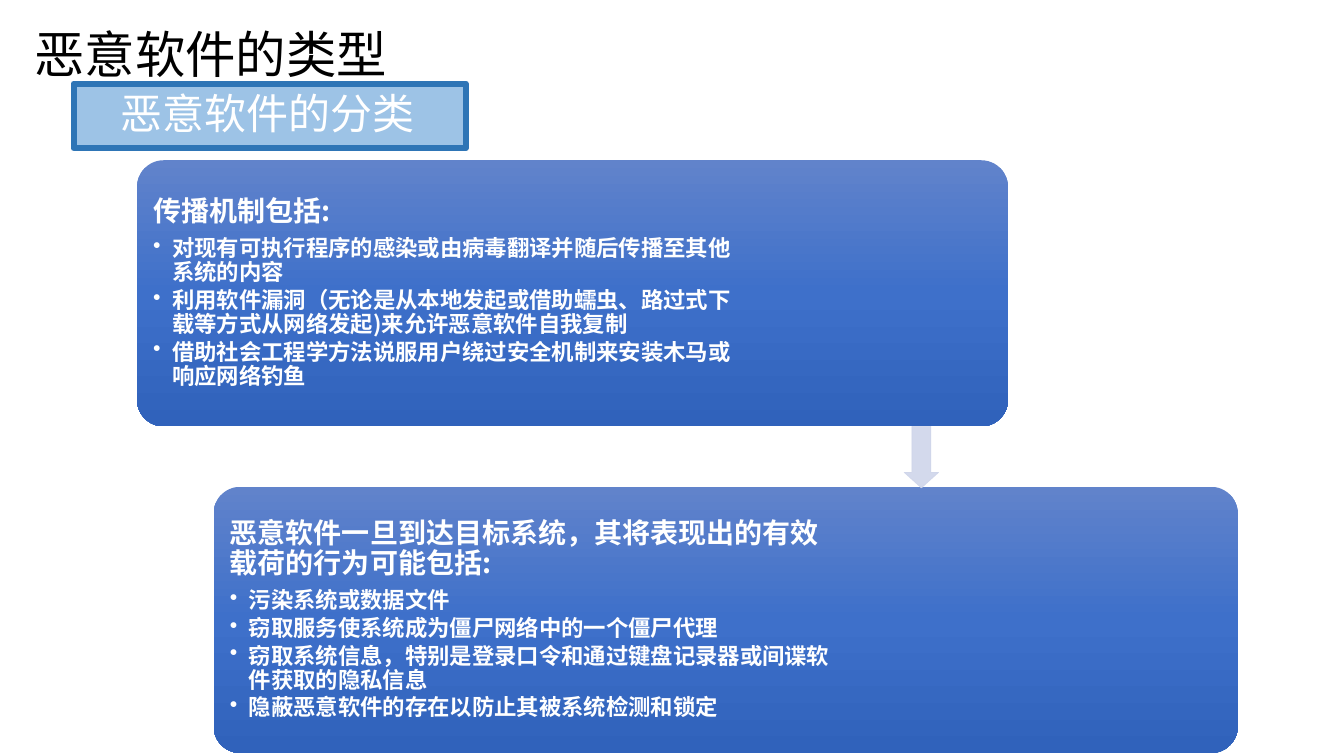
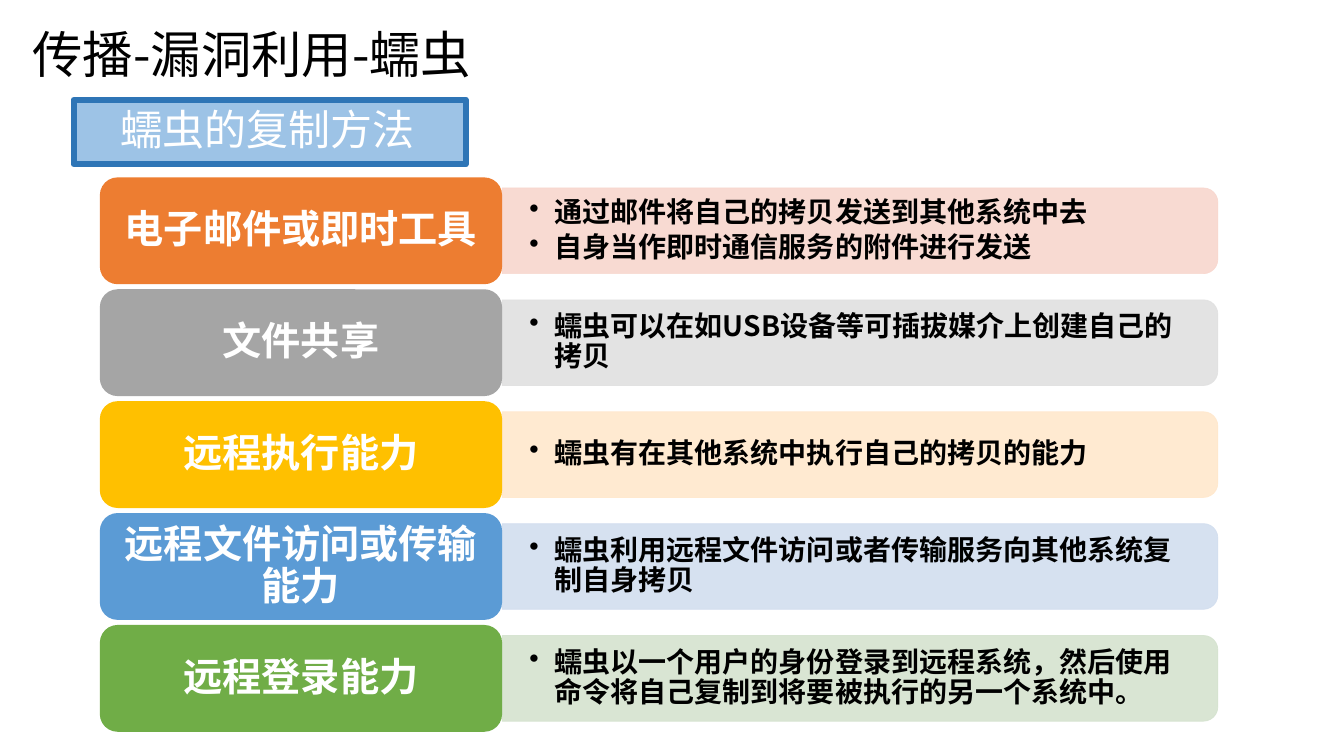
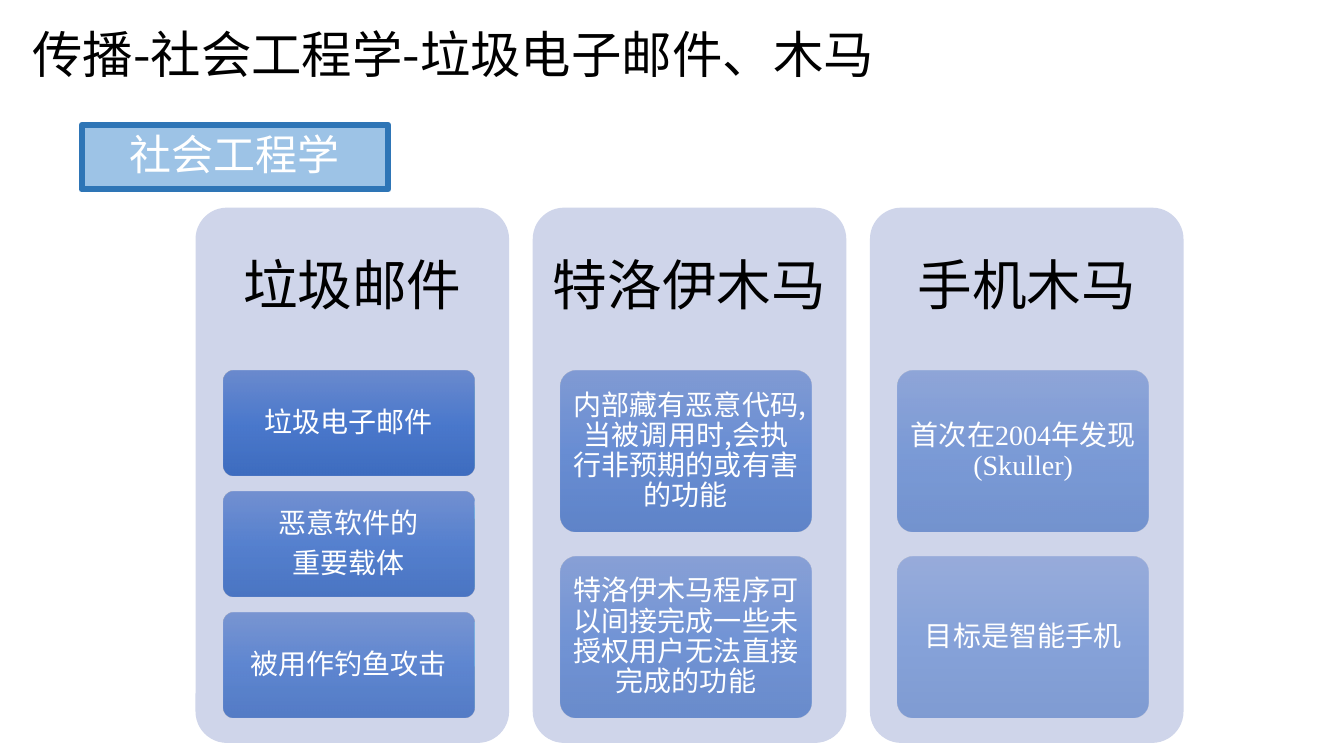
from dataclasses import dataclass

from lxml.etree import SubElement
from pptx import Presentation
from pptx.dml.color import RGBColor
from pptx.enum.shapes import MSO_SHAPE as Kind
from pptx.enum.text import MSO_ANCHOR as Anchor, PP_ALIGN as Align
from pptx.oxml.ns import qn
from pptx.util import Emu, Inches, Pt

WIDE, HIGH = Inches(13.33), Inches(7.5)
SANS, SERIF = "Noto Sans CJK SC", "Times New Roman"
WHITE, BLACK, PALE = "FFFFFF", "000000", "CFD5EA"
BLUES = ((0, "6183CB"), (50, "3E70CA"), (100, "3062BB"))


@dataclass
class Box:
    x: float
    y: float
    w: float
    h: float

    def place(self) -> tuple:
        return tuple(Emu(round(part * full / 100)) for part, full in
                     zip((self.x, self.y, self.w, self.h), (WIDE, HIGH) * 2))

    def inset(self, dx: float, dy: float) -> "Box":
        return Box(self.x + dx, self.y + dy, self.w - 2 * dx, self.h - 2 * dy)


@dataclass
class Style:
    size: float
    hue: str = WHITE
    bold: bool = False
    align: Align = Align.LEFT
    line: float = 0.9
    after: float = 0.35
    hang: float = 0
    latin: str = SANS


@dataclass
class Panel:
    box: Box
    span: float
    head: str
    items: tuple


@dataclass
class Row:
    label: str
    hue: str
    tint: str
    items: tuple


@dataclass
class Card:
    lines: tuple
    latin: str = SANS


@dataclass
class Stack:
    head: str
    cards: tuple


TITLE = Style(36, BLACK, line=1, after=0)
TAG = Style(30)
HEAD = Style(20, bold=True)
ITEM = Style(16, bold=True, after=0.15, hang=0.19)
LABEL = Style(28, bold=True, align=Align.CENTER)
NOTE = Style(20, BLACK, True, after=0.15, hang=0.25)
TOP = Style(39, BLACK, align=Align.CENTER)

PANELS = (
    Panel(Box(10.2, 21.2, 64.8, 35.2), 44.25, "传播机制包括:", (
        "对现有可执行程序的感染或由病毒翻译并随后传播至其他系统的内容",
        "利用软件漏洞（无论是从本地发起或借助蠕虫、路过式下载等方式从网络发起)来允许恶意软件自我复制",
        "借助社会工程学方法说服用户绕过安全机制来安装木马或响应网络钓鱼")),
    Panel(Box(15.9, 64.4, 76.2, 35.2), 46.43,
          "恶意软件一旦到达目标系统，其将表现出的有效载荷的行为可能包括:", (
              "污染系统或数据文件",
              "窃取服务使系统成为僵尸网络中的一个僵尸代理",
              "窃取系统信息，特别是登录口令和通过键盘记录器或间谍软件获取的隐私信息",
              "隐蔽恶意软件的存在以防止其被系统检测和锁定")),
)
ROWS = (
    Row("电子邮件或即时工具", "ED7D31", "F8D7CE",
        ("通过邮件将自己的拷贝发送到其他系统中去", "自身当作即时通信服务的附件进行发送")),
    Row("文件共享", "A5A5A5", "E1E1E1",
        ("蠕虫可以在如USB设备等可插拔媒介上创建自己的拷贝",)),
    Row("远程执行能力", "FFC000", "FFE8CC",
        ("蠕虫有在其他系统中执行自己的拷贝的能力",)),
    Row("远程文件访问或传输能力", "5B9BD5", "D2DEEF",
        ("蠕虫利用远程文件访问或者传输服务向其他系统复制自身拷贝",)),
    Row("远程登录能力", "70AD47", "D5E3CF",
        ("蠕虫以一个用户的身份登录到远程系统，然后使用命令将自己复制到将要被执行的另一个系统中。",)),
)
STACKS = (
    Stack("垃圾邮件", (Card(("垃圾电子邮件",)), Card(("恶意软件的", "重要载体")),
                   Card(("被用作钓鱼攻击",)))),
    Stack("特洛伊木马", (Card(("内部藏有恶意代码,当被调用时,会执行非预期的或有害的功能",)),
                    Card(("特洛伊木马程序可以间接完成一些未授权用户无法直接完成的功能",)))),
    Stack("手机木马", (Card(("首次在2004年发现 (Skuller)",), SERIF),
                   Card(("目标是智能手机",)))),
)


def rgb(code: str) -> RGBColor:
    return RGBColor.from_string(code)


def fade(node, alpha: float) -> None:
    if alpha < 100:
        SubElement(node, qn("a:alpha"), val=str(round(alpha * 1000)))


def paint(form, code: str, alpha: float = 100) -> None:
    form.solid()
    form.fore_color.rgb = rgb(code)
    fade(form._xPr.find(".//" + qn("a:srgbClr")), alpha)


def blend(shape, alpha: float) -> None:
    grad = SubElement(shape._element.spPr, qn("a:gradFill"), rotWithShape="1")
    stops = SubElement(grad, qn("a:gsLst"))
    for pos, code in BLUES:
        stop = SubElement(stops, qn("a:gs"), pos=str(pos * 1000))
        fade(SubElement(stop, qn("a:srgbClr"), val=code), alpha)
    SubElement(grad, qn("a:lin"), ang="5400000", scaled="0")


def draw(slide, kind: Kind, box: Box, fill: str = "", alpha: float = 100,
         edge: str = "", width: float = 0.5, adj: tuple = ()):
    shape = slide.shapes.add_shape(kind, *box.place())
    shape.shadow.inherit = False
    for spot, value in enumerate(adj):
        shape.adjustments[spot] = value
    if fill:
        paint(shape.fill, fill, alpha)
    else:
        blend(shape, alpha)
    if edge:
        paint(shape.line.fill, edge, alpha)
        shape.line.width = Pt(width)
        SubElement(shape.line._ln, qn("a:round"))
    else:
        shape.line.fill.background()
    return shape


def fill_text(shape, parts: list, pad: tuple) -> None:
    frame = shape.text_frame
    form = {"word_wrap": True, "vertical_anchor": Anchor.MIDDLE,
            "margin_left": Inches(pad[0]), "margin_right": Inches(pad[0]),
            "margin_top": Inches(pad[1]), "margin_bottom": Inches(pad[1])}
    for name, value in form.items():
        setattr(frame, name, value)
    for spot, (text, style) in enumerate(parts):
        para = frame.add_paragraph() if spot else frame.paragraphs[0]
        if style.hang:
            prop = para._p.get_or_add_pPr()
            prop.set("marL", str(Inches(style.hang)))
            prop.set("indent", str(-Inches(style.hang)))
            SubElement(prop, qn("a:buChar"), char="•")
        form = {"alignment": style.align, "line_spacing": style.line,
                "space_after": Pt(style.size * style.after),
                "level": 1 if style.hang else 0}
        for name, value in form.items():
            setattr(para, name, value)
        run = para.add_run()
        run.text = text
        form = {"size": Pt(style.size), "bold": style.bold, "name": style.latin}
        for name, value in form.items():
            setattr(run.font, name, value)
        run.font.color.rgb = rgb(style.hue)
        SubElement(run._r.get_or_add_rPr(), qn("a:ea"), typeface=SANS)


def write(slide, box: Box, parts: list, pad: tuple) -> None:
    fill_text(slide.shapes.add_textbox(*box.place()), parts, pad)


def start(deck, title: str, left: float, span: float, tag: str, box: Box):
    slide = deck.slides.add_slide(deck.slide_layouts[6])
    write(slide, Box(left, 0, span, 14.13), [(title, TITLE)], (0.11, 0.06))
    shape = draw(slide, Kind.RECTANGLE, box, "9DC3E6", edge="2E75B6", width=4.33)
    fill_text(shape, [(tag, TAG)], (0.47, 0))
    return slide


def types(deck) -> None:
    slide = start(deck, "恶意软件的类型", 1.73, 44.33,
                  "恶意软件的分类", Box(5.48, 11.07, 29.18, 8.53))
    for panel in PANELS:
        draw(slide, Kind.ROUNDED_RECTANGLE, panel.box, adj=(0.1,))
        area = panel.box.inset(0.6, 1)
        area.w = panel.span
        parts = [(panel.head, HEAD)] + [(item, ITEM) for item in panel.items]
        write(slide, area, parts, (0.08, 0.08))
    draw(slide, Kind.DOWN_ARROW, Box(67.28, 56.4, 2.55, 8.13), PALE, 90,
         PALE, adj=(0.55, 0.45))


def worms(deck) -> None:
    slide = start(deck, "传播-漏洞利用-蠕虫", 1.58, 44.33,
                  "蠕虫的复制方法", Box(5.48, 13.2, 29.18, 8.53))
    long, thick = 53.25, 11.33
    ratio = WIDE / HIGH
    for spot, row in enumerate(ROWS):
        label = Box(7.43, 23.47 + 14.8 * spot, 29.93, 14.13)
        edge = label.x + label.w
        wide, high = thick / ratio, long * ratio
        strip = Box(edge + (long - wide) / 2, label.y + (label.h - high) / 2,
                    wide, high)
        draw(slide, Kind.ROUND_2_SAME_RECTANGLE, strip, row.tint, 90,
             row.tint).rotation = 90
        write(slide, Box(edge, label.y + 2, 52.95, 10.13),
              [(item, NOTE) for item in row.items], (0.27, 0.14))
        draw(slide, Kind.ROUNDED_RECTANGLE, label, row.hue)
        write(slide, label.inset(0.38, 0.7), [(row.label, LABEL)], (0.12, 0.06))


def social(deck) -> None:
    slide = start(deck, "传播-社会工程学-垃圾电子邮件、木马", 1.58, 70.05,
                  "社会工程学", Box(6.08, 16.53, 22.8, 8.53))
    ratio = WIDE / HIGH
    total = sum(len(stack.cards) for stack in STACKS)
    done = 0
    for col, stack in enumerate(STACKS):
        back = Box(14.55 + 25.09 * col, 27.47, 23.33, 70.8)
        draw(slide, Kind.ROUNDED_RECTANGLE, back, PALE, adj=(0.1,))
        write(slide, Box(back.x, back.y, back.w, 21.2),
              [(stack.head, TOP)], (0.16, 0.16))
        count = len(stack.cards)
        high = 45.87 / (count + 0.154 * (count - 1))
        for spot, card in enumerate(stack.cards):
            box = Box(back.x + 2.06, 49.07 + 1.154 * high * spot, 18.68, high)
            draw(slide, Kind.ROUNDED_RECTANGLE, box,
                 alpha=90 - 40 * done / (total - 1), adj=(0.1,))
            style = Style(20, align=Align.CENTER, latin=card.latin)
            write(slide, box.inset(0.03 * high / ratio, 0.03 * high),
                  [(line, style) for line in card.lines], (0.06, 0.04))
            done += 1


def main() -> None:
    deck = Presentation()
    deck.slide_width, deck.slide_height = WIDE, HIGH
    for build in (types, worms, social):
        build(deck)
    deck.save("out.pptx")


if __name__ == "__main__":
    main()
